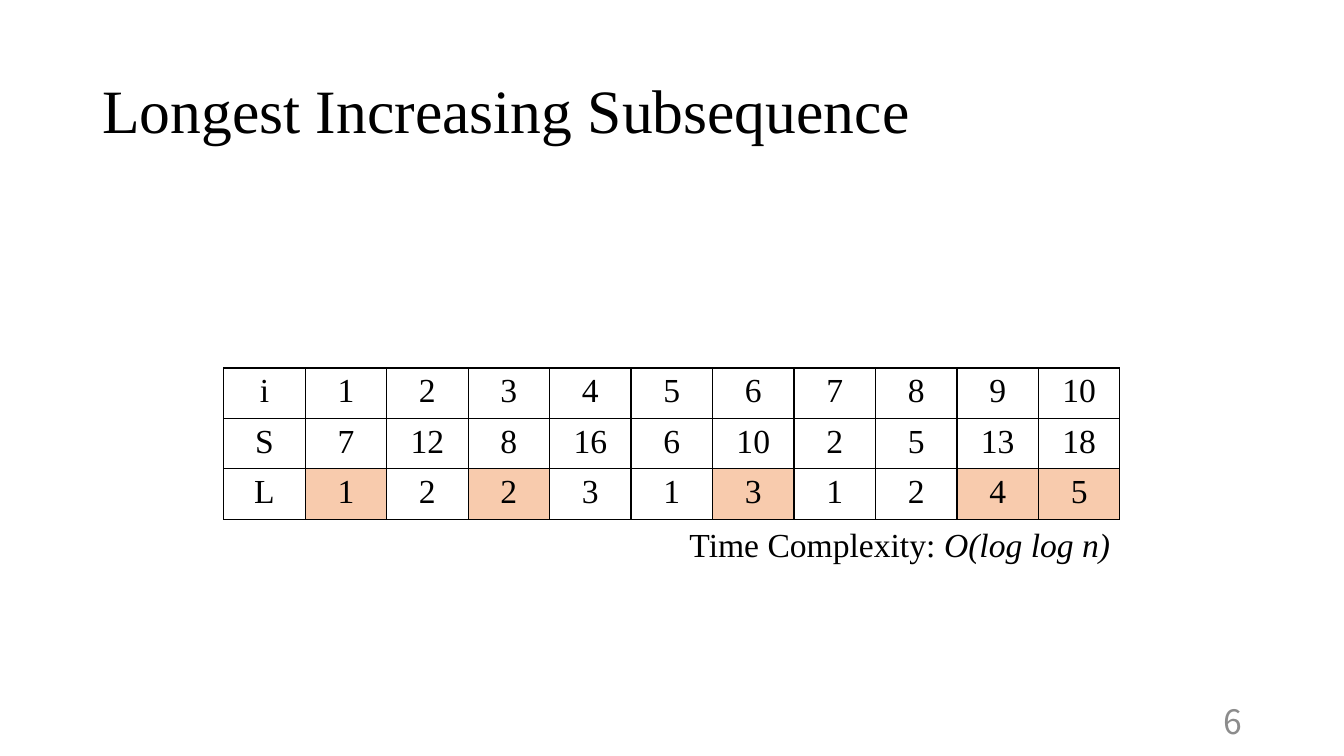
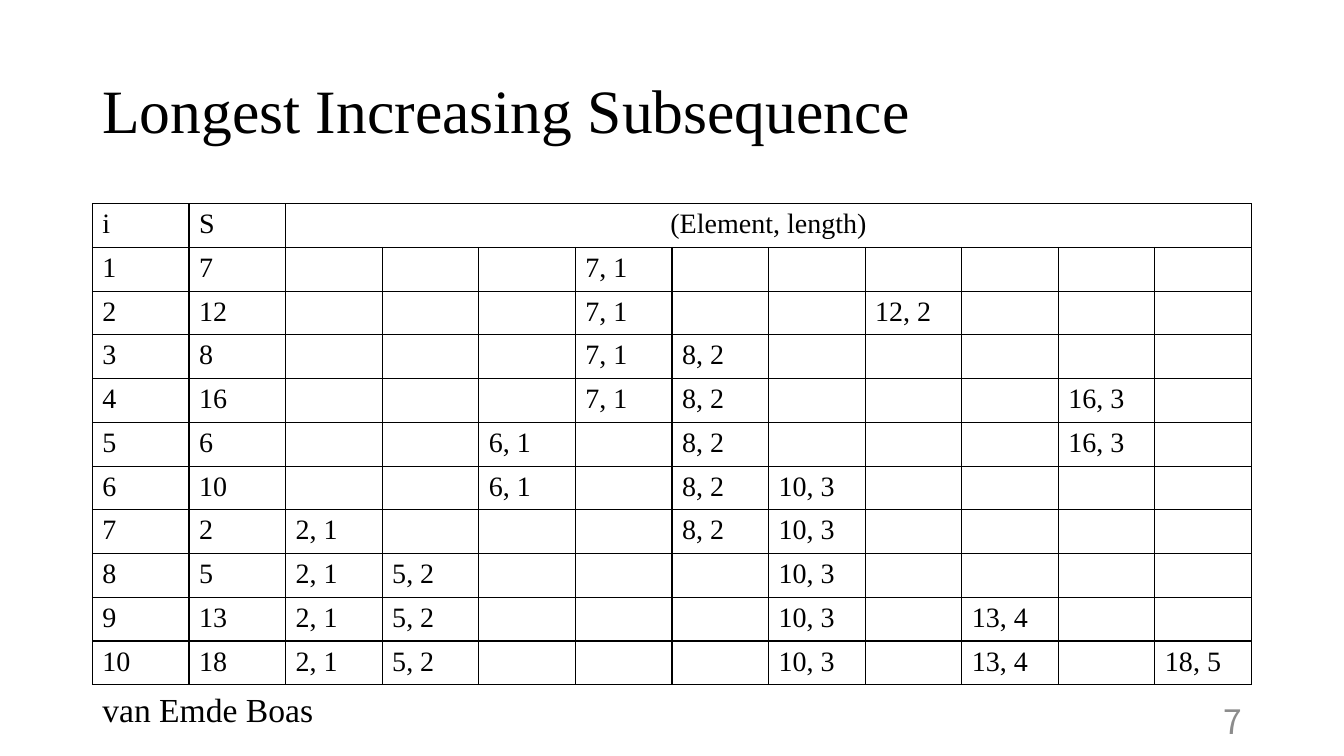
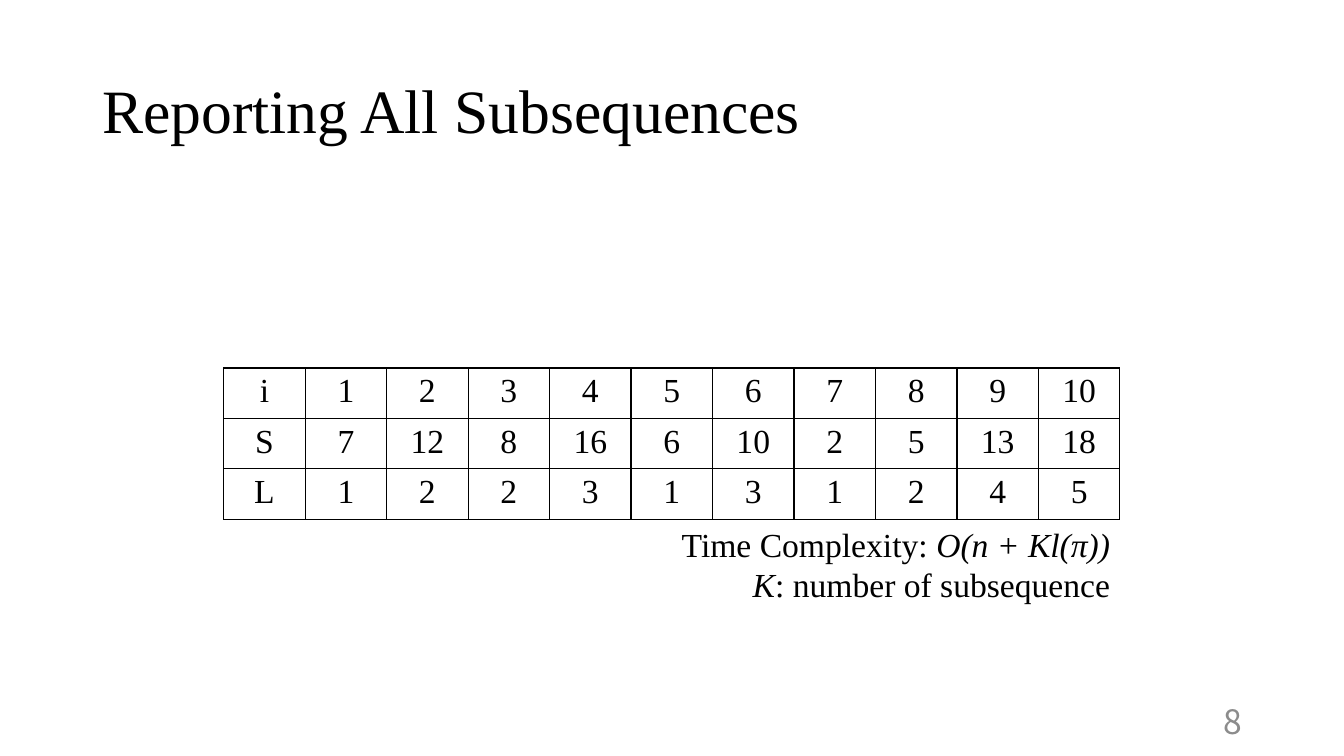
from lxml.etree import SubElement
from pptx import Presentation
from pptx.dml.color import RGBColor
from pptx.enum.text import MSO_ANCHOR, PP_ALIGN
from pptx.oxml.ns import qn
from pptx.util import Pt

BLACK = RGBColor(0x00, 0x00, 0x00)
GREY = RGBColor(0x8C, 0x8C, 0x8C)
PEACH = RGBColor(0xF8, 0xCB, 0xAD)

TITLE = {"name": "Times New Roman", "size": Pt(44)}
BODY = {"name": "Times New Roman", "size": Pt(24)}
SMALL = {"name": "Times New Roman", "size": Pt(20)}
NUMBER = {"name": "Noto Sans CJK JP", "size": Pt(24)}

TITLE_BOX = (66, 28.8, 828, 104.4)
NUMBER_BOX = (678, 500.4, 216, 28.8)
SEQUENCE_BOX = (159.8, 262.8, 640.2, 100.8)
HISTORY_BOX = (66, 145.5, 828, 323.4)
FOOTNOTE_BOX = (66, 488.2, 351.4, 36)
CAPTION_WIDTH = 351.4
CAPTION_LINE = 32

SEQUENCE = [7, 12, 8, 16, 6, 10, 2, 5, 13, 18]
LONGEST = [1, 3, 6, 9, 10]


def set_attributes(target, values):
    for name, value in values.items():
        setattr(target, name, value)


def write_runs(paragraph, runs, style, color=BLACK, alignment=PP_ALIGN.LEFT):
    """Fill a paragraph from (text, italic) pairs."""
    paragraph.alignment = alignment
    for text, italic in runs:
        run = paragraph.add_run()
        run.text = text
        set_attributes(run.font, style)
        run.font.italic = italic
        run.font.color.rgb = color


def add_text(slide, box, lines, style, color=BLACK, alignment=PP_ALIGN.LEFT,
             anchor=MSO_ANCHOR.TOP, spacing=1.0):
    frame = slide.shapes.add_textbox(*map(Pt, box)).text_frame
    set_attributes(frame, {"word_wrap": True, "vertical_anchor": anchor})
    for index, runs in enumerate(lines):
        paragraph = frame.add_paragraph() if index else frame.paragraphs[0]
        paragraph.line_spacing = spacing
        write_runs(paragraph, runs, style, color, alignment)


def add_borders(cell):
    properties = cell._tc.get_or_add_tcPr()
    for side in ("a:lnL", "a:lnR", "a:lnT", "a:lnB"):
        line = SubElement(properties, qn(side), w=str(Pt(1)))
        fill = SubElement(line, qn("a:solidFill"))
        SubElement(fill, qn("a:srgbClr"), val=str(BLACK))


def add_grid(slide, box, rows, style, alignment, highlighted=()):
    """Add an evenly divided table; highlighted holds (row, column) pairs."""
    table = slide.shapes.add_table(len(rows), len(rows[0]), *map(Pt, box)).table
    set_attributes(table, {"first_row": False, "horz_banding": False})
    for column in table.columns:
        column.width = Pt(box[2] / len(rows[0]))
    for row_index, row in enumerate(rows):
        table.rows[row_index].height = Pt(box[3] / len(rows))
        for column_index, value in enumerate(row):
            cell = table.cell(row_index, column_index)
            add_borders(cell)
            if (row_index, column_index) in highlighted:
                cell.fill.solid()
                cell.fill.fore_color.rgb = PEACH
            else:
                cell.fill.background()
            if value != "":
                write_runs(cell.text_frame.paragraphs[0], [(str(value), False)],
                           style, alignment=alignment)
    return table


def trace_subsequences(sequence):
    """Return the length at each element and the (element: length) set after it."""
    lengths, states, state = [], [], {}
    for element in sequence:
        length = 1 + max((state[key] for key in state if key < element), default=0)
        state = {key: kept for key, kept in state.items() if kept != length}
        state[element] = length
        lengths.append(length)
        states.append(state)
    return lengths, states


def add_base_slide(presentation, title, number):
    slide = presentation.slides.add_slide(presentation.slide_layouts[6])
    add_text(slide, TITLE_BOX, [[(title, False)]], TITLE,
             anchor=MSO_ANCHOR.MIDDLE, spacing=0.9)
    add_text(slide, NUMBER_BOX, [[(str(number), False)]], NUMBER, GREY,
             PP_ALIGN.RIGHT, MSO_ANCHOR.MIDDLE)
    return slide


def add_sequence(slide, box, caption, marked=()):
    """Add the index, sequence and length rows with a caption below, flush right."""
    lengths, _ = trace_subsequences(SEQUENCE)
    rows = [["i", *range(1, len(SEQUENCE) + 1)], ["S", *SEQUENCE], ["L", *lengths]]
    add_grid(slide, box, rows, BODY, PP_ALIGN.CENTER,
             [(2, column) for column in marked])
    left, top, width, height = box
    caption_box = (left + width - CAPTION_WIDTH, top + height + 7.2,
                   CAPTION_WIDTH, CAPTION_LINE * len(caption))
    add_text(slide, caption_box, caption, BODY, alignment=PP_ALIGN.RIGHT)


def add_history(slide, box):
    """Add the table of stored (element, length) pairs after each step."""
    _, states = trace_subsequences(SEQUENCE)
    ordered = sorted(SEQUENCE)
    rows = [["i", "S", "(Element, length)"] + [""] * (len(ordered) - 1)]
    for step, (element, state) in enumerate(zip(SEQUENCE, states), start=1):
        pairs = [f"{key}, {state[key]}" if key in state else "" for key in ordered]
        rows.append([step, element, *pairs])
    table = add_grid(slide, box, rows, SMALL, PP_ALIGN.LEFT)
    heading = table.cell(0, 2)
    heading.merge(table.cell(0, len(rows[0]) - 1))
    heading.text_frame.paragraphs[0].alignment = PP_ALIGN.CENTER


def main():
    presentation = Presentation()
    set_attributes(presentation, {"slide_width": Pt(960), "slide_height": Pt(540)})

    slide = add_base_slide(presentation, "Longest Increasing Subsequence", 6)
    add_sequence(slide, SEQUENCE_BOX,
                 [[("Time Complexity: ", False), ("O(log log n)", True)]], LONGEST)

    slide = add_base_slide(presentation, "Longest Increasing Subsequence", 7)
    add_history(slide, HISTORY_BOX)
    add_text(slide, FOOTNOTE_BOX, [[("van Emde Boas", False)]], BODY)

    slide = add_base_slide(presentation, "Reporting All Subsequences", 8)
    add_sequence(slide, SEQUENCE_BOX,
                 [[("Time Complexity: ", False), ("O(n + Kl(π))", True)],
                  [("K", True), (": number of subsequence", False)]])

    presentation.save("out.pptx")


if __name__ == "__main__":
    main()
